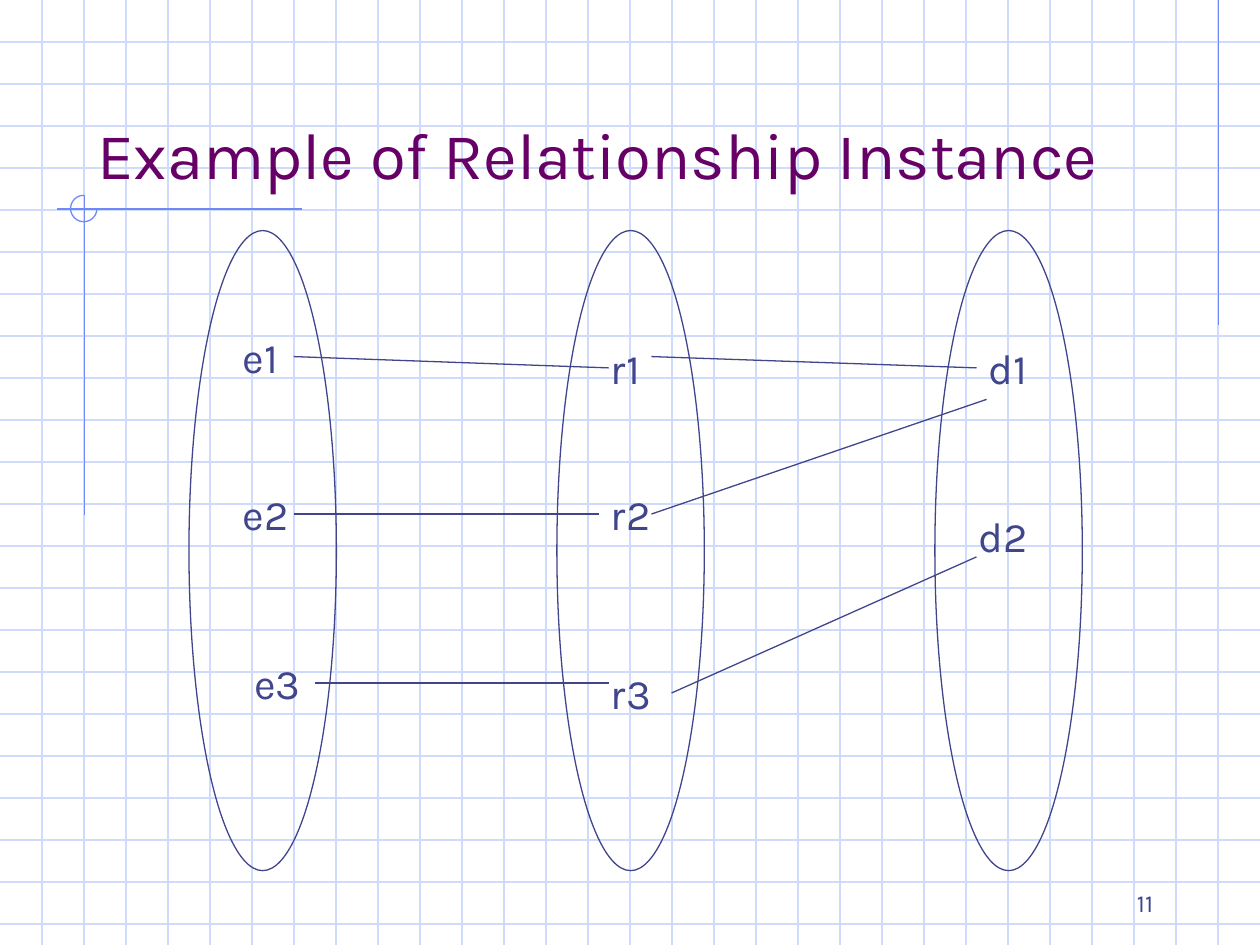
from lxml.etree import SubElement
from pptx import Presentation
from pptx.dml.color import RGBColor
from pptx.enum.shapes import MSO_CONNECTOR as Connector, MSO_SHAPE as Shape
from pptx.enum.text import MSO_ANCHOR as Anchor, PP_ALIGN as Align
from pptx.oxml.ns import qn
from pptx.util import Inches, Pt

WIDTH, HEIGHT = 10, 7.5
GRID, ACCENT, INK, TITLE = "CFDBFD", "6F89F7", "40458C", "660066"
FONT = "Karla"

SET_LEFTS = [1.5, 4.42, 7.42]

# text, left, top, width
LABELS = [
    ("e1", 1.83, 2.58, 0.75),
    ("e2", 1.83, 3.83, 0.83),
    ("e3", 1.92, 5.17, 0.67),
    ("r1", 4.75, 2.67, 0.58),
    ("r2", 4.75, 3.83, 0.58),
    ("r3", 4.75, 5.25, 0.67),
    ("d1", 7.75, 2.67, 0.75),
    ("d2", 7.67, 4, 0.83),
]

# start x, start y, end x, end y
LINKS = [
    (2.33, 2.83, 4.83, 2.92),  # e1 to r1
    (5.17, 2.83, 7.75, 2.92),  # r1 to d1
    (2.33, 4.08, 4.75, 4.08),  # e2 to r2
    (5.17, 4.08, 7.83, 3.17),  # r2 to d1
    (2.5, 5.42, 4.83, 5.42),   # e3 to r3
    (5.33, 5.5, 7.75, 4.42),   # r3 to d2
]


def set_line(line, color):
    line.color.rgb = RGBColor.from_string(color)
    line.width = Pt(0.75)


def add_line(slide, x1, y1, x2, y2, color):
    line = slide.shapes.add_connector(
        Connector.STRAIGHT, Inches(x1), Inches(y1), Inches(x2), Inches(y2))
    set_line(line.line, color)
    SubElement(line._element.spPr, qn("a:effectLst"))


def add_outline(slide, kind, left, top, width, height, color):
    shape = slide.shapes.add_shape(
        kind, Inches(left), Inches(top), Inches(width), Inches(height))
    shape.shadow.inherit = False
    shape.fill.background()
    set_line(shape.line, color)
    return shape


def format_text(shape, text, size, color, align=Align.LEFT, anchor=Anchor.TOP):
    frame = shape.text_frame
    frame.text = text
    frame.word_wrap = True
    frame.vertical_anchor = anchor
    paragraph = frame.paragraphs[0]
    paragraph.alignment = align
    font = paragraph.runs[0].font
    font.name = FONT
    font.size = Pt(size)
    font.color.rgb = RGBColor.from_string(color)
    return paragraph


def add_text(slide, text, left, top, width, size, **layout):
    box = slide.shapes.add_textbox(
        Inches(left), Inches(top), Inches(width), Inches(0.5))
    return format_text(box, text, size, INK, **layout)


def add_background(slide):
    # Graph paper, three squares to the inch
    for row in range(1, 23):
        add_line(slide, 0, row / 3, WIDTH, row / 3, GRID)
    for column in range(1, 30):
        add_line(slide, column / 3, 0, column / 3, HEIGHT, GRID)

    # Accent lines and three-quarter circle
    add_line(slide, 9.67, 0, 9.67, 2.58, ACCENT)
    add_line(slide, 2.4, 1.66, 0.45, 1.66, ACCENT)
    add_line(slide, 0.67, 1.55, 0.67, 4.09, ACCENT)
    arc = add_outline(slide, Shape.ARC, 0.56, 1.55, 0.21, 0.21, ACCENT)
    arc.adjustments[0] = 0
    arc.adjustments[1] = 162  # 270 degrees


def add_title(slide, text):
    title = slide.shapes.title
    title.left, title.top = Inches(0.67), Inches(0.33)
    title.width, title.height = Inches(8.5), Inches(1.25)
    format_text(title, text, 37.4, TITLE, anchor=Anchor.BOTTOM)
    # Bring the title in front of the grid
    slide.shapes._spTree.append(title._element)


def main():
    presentation = Presentation()
    presentation.slide_width = Inches(WIDTH)
    presentation.slide_height = Inches(HEIGHT)
    slide = presentation.slides.add_slide(presentation.slide_layouts[5])

    add_background(slide)

    # Slide number
    add_text(slide, "11", 7.17, 6.83, 2.08, 14,
             align=Align.RIGHT, anchor=Anchor.BOTTOM)

    # Entity and relationship sets, their members and the links
    for left in SET_LEFTS:
        add_outline(slide, Shape.OVAL, left, 1.83, 1.17, 5.08, INK)
    for text, left, top, width in LABELS:
        paragraph = add_text(slide, text, left, top, width, 24)
        paragraph.space_before = Pt(15)
    for link in LINKS:
        add_line(slide, *link, INK)

    add_title(slide, "Example of Relationship Instance")
    presentation.save("out.pptx")


if __name__ == "__main__":
    main()
